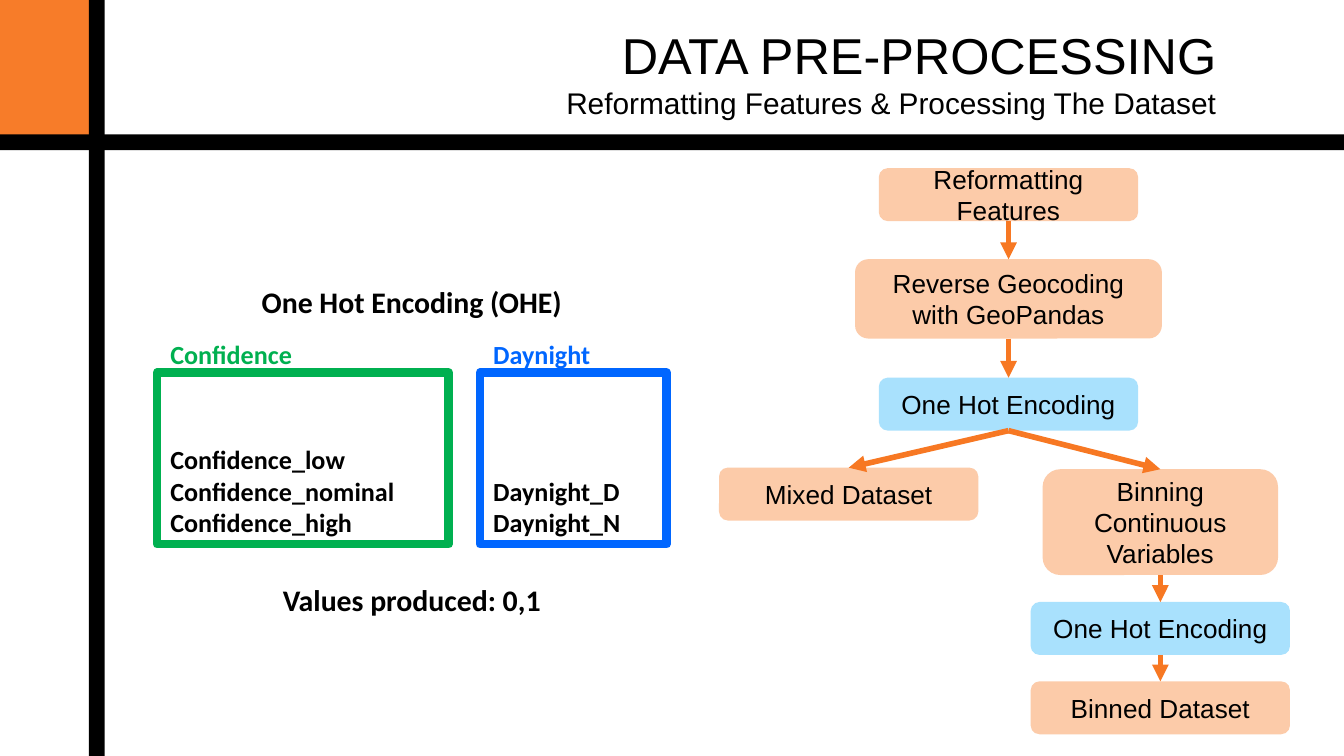
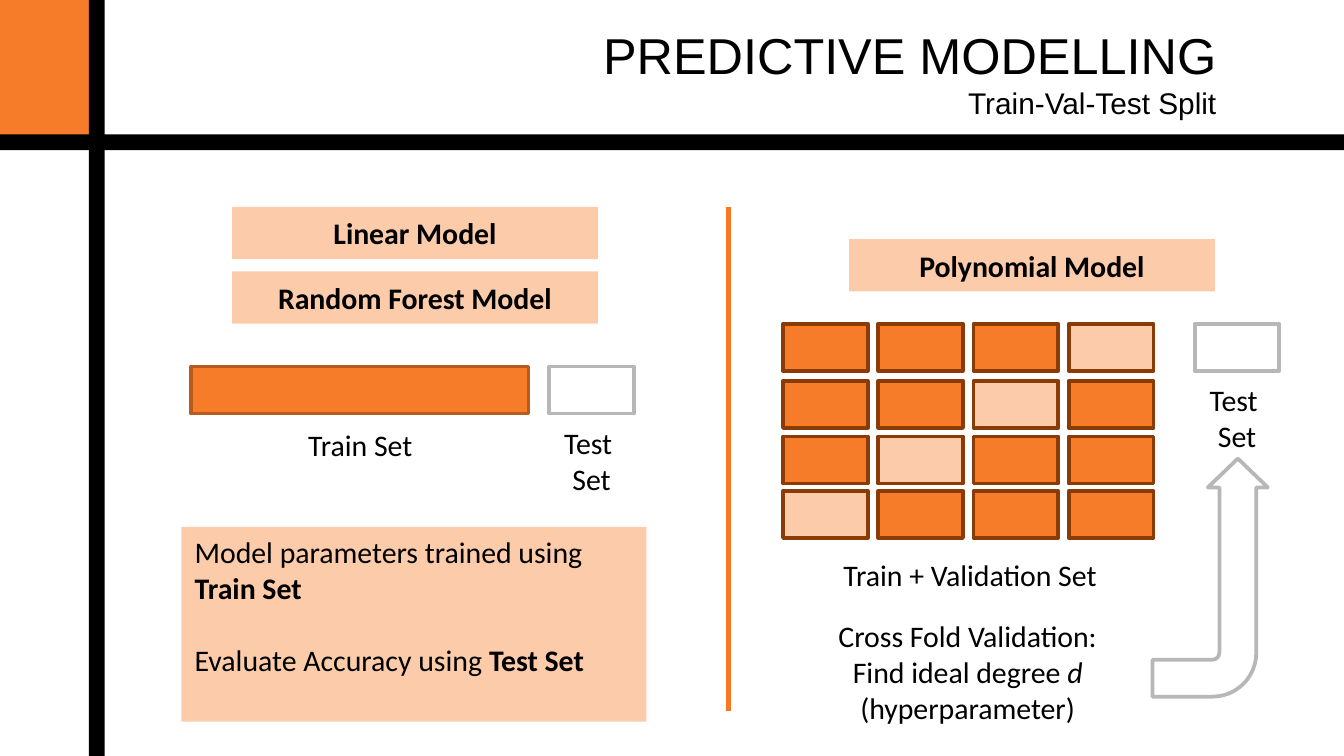
"""Build two slides on data pre-processing and predictive modelling."""

from lxml.etree import SubElement
from pptx import Presentation
from pptx.dml.color import RGBColor
from pptx.enum.shapes import MSO_CONNECTOR, MSO_SHAPE as Shape
from pptx.enum.text import MSO_ANCHOR as Anchor, MSO_AUTO_SIZE, PP_ALIGN as Align
from pptx.oxml.ns import qn
from pptx.util import Cm, Pt

COLORS = {
    "black": "000000",
    "white": "FFFFFF",
    "orange": "F77C29",
    "arrow": "F77823",
    "peach": "FCCBA9",
    "sky": "A9E1FD",
    "green": "00B050",
    "blue": "0066FF",
    "grey": "B7B7B7",
    "rust": "B75C1E",
    "brown": "8B3B05",
}
HEADING_FONT = "Arial"
BODY_FONT = "Calibri"
WIDTH, HEIGHT = 25.4, 14.29
CELL_WIDTH, CELL_HEIGHT = 1.6, 0.89


def rgb(name):
    """Return the named palette colour."""
    return RGBColor.from_string(COLORS[name])


def add_run(paragraph, text, size, font=BODY_FONT, color="black", bold=False, italic=False):
    """Append one formatted run to a paragraph."""
    run = paragraph.add_run()
    run.text = text
    run.font.name = font
    run.font.size = Pt(size)
    run.font.bold = bold
    run.font.italic = italic
    run.font.color.rgb = rgb(color)


def write(shape, paragraphs, size=16, align=Align.CENTER, anchor=Anchor.TOP, gap=0, **style):
    """Fill a shape with paragraphs, each a string or a list of (text, style) runs."""
    frame = shape.text_frame
    frame.word_wrap = True
    frame.vertical_anchor = anchor
    for index, content in enumerate(paragraphs):
        paragraph = frame.add_paragraph() if index else frame.paragraphs[0]
        paragraph.alignment = align
        if index and gap:
            paragraph.space_before = Pt(gap)
        runs = [(content, {})] if isinstance(content, str) else content
        for text, extra in runs:
            add_run(paragraph, text, size, **{**style, **extra})


def add_box(slide, box, fill=None, line=None, weight=2, kind=Shape.RECTANGLE):
    """Add a flat preset shape at (left, top, width, height)."""
    shape = slide.shapes.add_shape(kind, *map(Cm, box))
    shape.shadow.inherit = False
    if fill:
        shape.fill.solid()
        shape.fill.fore_color.rgb = rgb(fill)
    else:
        shape.fill.background()
    if line:
        shape.line.color.rgb = rgb(line)
        shape.line.width = Pt(weight)
    else:
        shape.line.fill.background()
    return shape


def add_label(slide, box, paragraphs, **style):
    """Add a wrapped text box."""
    write(slide.shapes.add_textbox(*map(Cm, box)), paragraphs, **style)


def add_line(slide, start=(0, 0), end=(0, 0)):
    """Add a thick orange line."""
    line = slide.shapes.add_connector(MSO_CONNECTOR.STRAIGHT, *map(Cm, (*start, *end)))
    line.line.color.rgb = rgb("arrow")
    line.line.width = Pt(3)
    SubElement(line._element.spPr, qn("a:effectLst"))
    return line


def add_arrow(slide, source, target):
    """Join the bottom of one shape to the top of another with an arrow."""
    arrow = add_line(slide)
    arrow.begin_connect(source, 2)
    arrow.end_connect(target, 0)
    SubElement(arrow.line._get_or_add_ln(), qn("a:tailEnd"), type="triangle")


def add_step(slide, text, center, top, width=4.9, height=1.0, fill="peach"):
    """Add a rounded flowchart step centred on a column."""
    box = (center - width / 2, top, width, height)
    step = add_box(slide, box, fill, kind=Shape.ROUNDED_RECTANGLE)
    write(step, [text], 14, anchor=Anchor.MIDDLE, font=HEADING_FONT)
    return step


def add_category(slide, left, width, name, values, color):
    """Add an outlined box of encoded values under its feature name."""
    box = add_box(slide, (left, 7.04, width, 3.25), line=color, weight=4.5)
    write(box, values, 14, Align.LEFT, Anchor.BOTTOM, bold=True)
    add_label(slide, (left, 6.27, 3.28, 0.86), [name], size=14, align=Align.LEFT,
              color=color, bold=True)


def add_model(slide, left, top, name):
    """Add a model name on a peach bar."""
    bar = add_box(slide, (left, top, 6.91, 0.99), "peach")
    write(bar, [name], anchor=Anchor.MIDDLE, bold=True)


def add_test_set(slide, left, top, label_top):
    """Add the white test-set cell and its label."""
    add_box(slide, (left, top, CELL_WIDTH, CELL_HEIGHT), "white", "grey")
    add_label(slide, (left - 0.06, label_top, 1.72, 1.63), ["Test ", "Set"])


def add_folds(slide, left, tops, pitch):
    """Add the fold grid whose validation cell moves one column left per row."""
    count = len(tops)
    for row, top in enumerate(tops):
        for column in range(count):
            fill = "peach" if row + column == count - 1 else "orange"
            box = (left + column * pitch, top, CELL_WIDTH, CELL_HEIGHT)
            add_box(slide, box, fill, "brown")


def add_bent_arrow(slide):
    """Add the arrow that turns upwards to the test set."""
    arrow = add_box(slide, (20.62, 9.83, 4.5, 2.18), "white", "grey", kind=Shape.BENT_ARROW)
    for index, value in enumerate((0.317, 0.256, 0.25, 0.381)):
        arrow.adjustments[index] = round(value, 2)
    arrow.rotation = 270
    arrow._element.spPr.find(qn("a:xfrm")).set("flipV", "1")


def add_slide(presentation, heading, subtitle):
    """Add a slide with the shared bands and two-line title."""
    slide = presentation.slides.add_slide(presentation.slide_layouts[5])
    add_box(slide, (0, 0, 1.68, 2.62), "orange")
    add_box(slide, (0, 2.54, WIDTH, 0.3), "black")
    add_box(slide, (1.68, 0, 0.3, HEIGHT), "black")
    title = slide.shapes.title
    title.left, title.top, title.width, title.height = map(Cm, (2.13, 1.04, 21.11, 0.66))
    frame = title.text_frame
    frame.auto_size = MSO_AUTO_SIZE.NONE
    frame.word_wrap = True
    frame.vertical_anchor = Anchor.MIDDLE
    frame.margin_left = frame.margin_right = Cm(0.25)
    frame.margin_top = frame.margin_bottom = Cm(0.25)
    paragraph = frame.paragraphs[0]
    paragraph.alignment = Align.RIGHT
    add_run(paragraph, heading, 27, HEADING_FONT)
    paragraph.add_line_break()
    add_run(paragraph, subtitle, 16, HEADING_FONT)
    return slide


def build_preprocessing(presentation):
    """Build the one hot encoding examples and the processing flowchart."""
    slide = add_slide(presentation, "DATA PRE-PROCESSING",
                      "Reformatting Features & Processing The Dataset")
    add_label(slide, (2.97, 5.23, 9.63, 0.94), ["One Hot Encoding (OHE)"], bold=True)
    add_category(slide, 2.97, 5.51, "Confidence",
                 ["Confidence_low", "Confidence_nominal", "Confidence_high"], "green")
    add_category(slide, 9.07, 3.53, "Daynight", ["Daynight_D", "Daynight_N"], "blue")
    add_label(slide, (2.97, 10.87, 9.63, 0.94), ["Values produced: 0,1"], bold=True)

    main, left, right = 19.06, 16.04, 21.93
    reformatting = add_step(slide, "Reformatting Features", main, 3.18)
    geocoding = add_step(slide, "Reverse Geocoding with GeoPandas", main, 4.9, 5.8, 1.5)
    encoding = add_step(slide, "One Hot Encoding", main, 7.14, fill="sky")
    mixed = add_step(slide, "Mixed Dataset", left, 8.84)
    binning = add_step(slide, "Binning Continuous Variables", right, 8.87, 4.45, 2)
    binned_encoding = add_step(slide, "One Hot Encoding", right, 11.38, fill="sky")
    binned = add_step(slide, "Binned Dataset", right, 12.88)
    for source, target in (
        (reformatting, geocoding),
        (geocoding, encoding),
        (encoding, mixed),
        (encoding, binning),
        (binning, binned_encoding),
        (binned_encoding, binned),
    ):
        add_arrow(slide, source, target)


def build_modelling(presentation):
    """Build the comparison of the simple split and cross fold validation."""
    slide = add_slide(presentation, "PREDICTIVE MODELLING", "Train-Val-Test Split")
    bold = {"bold": True}
    add_model(slide, 4.39, 3.91, "Linear Model")
    add_model(slide, 4.39, 5.13, "Random Forest Model")
    add_box(slide, (3.61, 6.93, 6.38, CELL_HEIGHT), "orange", "rust")
    add_label(slide, (4.98, 7.95, 3.66, 0.94), ["Train Set"])
    add_test_set(slide, 10.38, 6.93, 7.9)
    summary = add_box(slide, (3.43, 9.96, 8.79, 3.68), "peach")
    write(summary, [
        [("Model parameters trained using ", {}), ("Train Set", bold)],
        [("Evaluate Accuracy using ", {}), ("Test Set", bold)],
    ], align=Align.LEFT, gap=19.5)

    add_line(slide, (13.77, 3.91), (13.77, 13.44))

    add_model(slide, 16.05, 4.52, "Polynomial Model")
    add_folds(slide, 14.8, (6.12, 7.2, 8.25, 9.28), 1.8)
    add_test_set(slide, 22.58, 6.12, 7.09)
    add_label(slide, (14.88, 10.39, 6.91, 0.94), ["Train + Validation Set"])
    add_label(slide, (14.81, 11.56, 6.96, 2.31), [
        "Cross Fold Validation:",
        [("Find ideal degree ", {}), ("d", {"italic": True})],
        "(hyperparameter)",
    ])
    add_bent_arrow(slide)


def main():
    """Build and save the presentation."""
    presentation = Presentation()
    presentation.slide_width = Cm(WIDTH)
    presentation.slide_height = Cm(HEIGHT)
    build_preprocessing(presentation)
    build_modelling(presentation)
    presentation.save("out.pptx")


if __name__ == "__main__":
    main()
